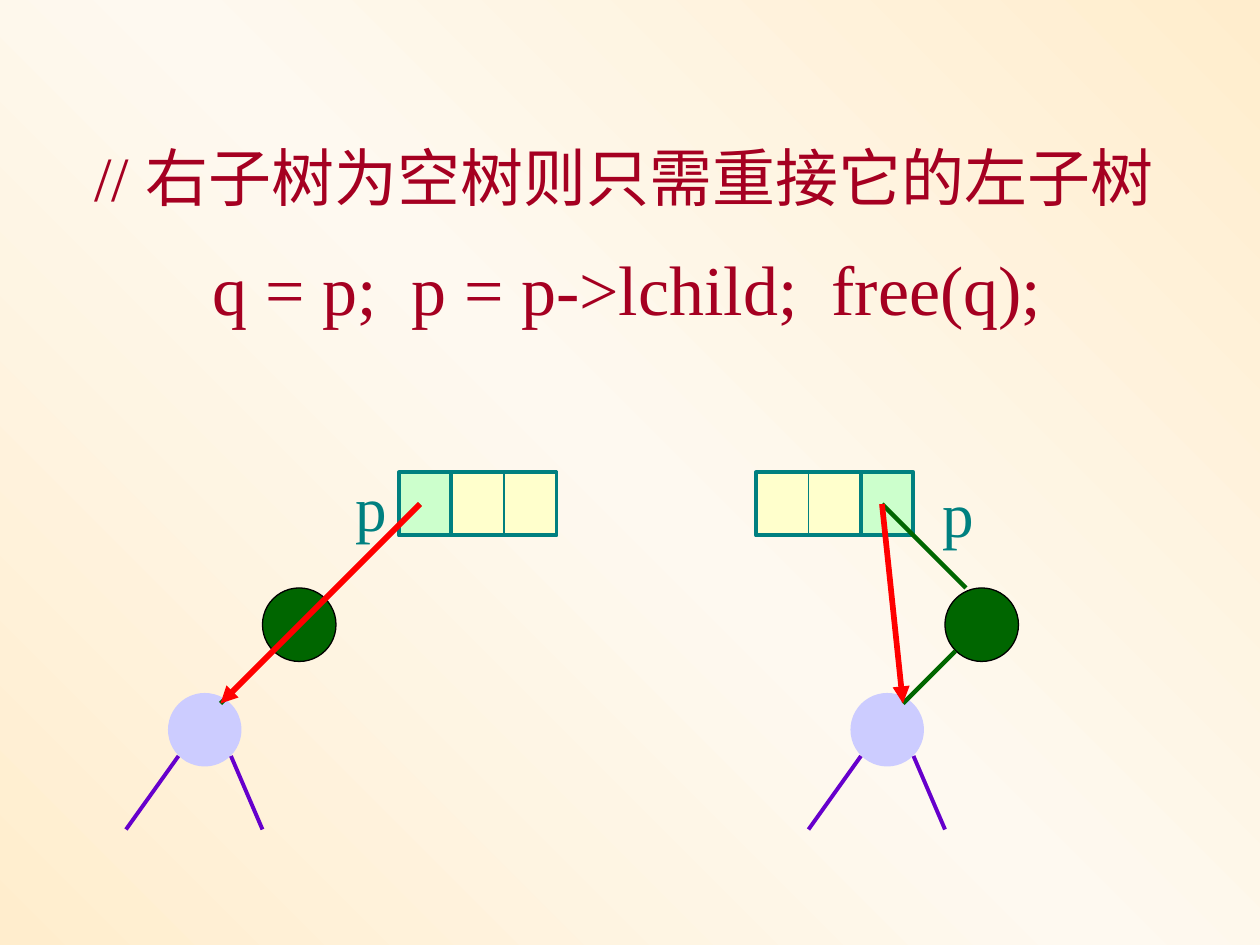
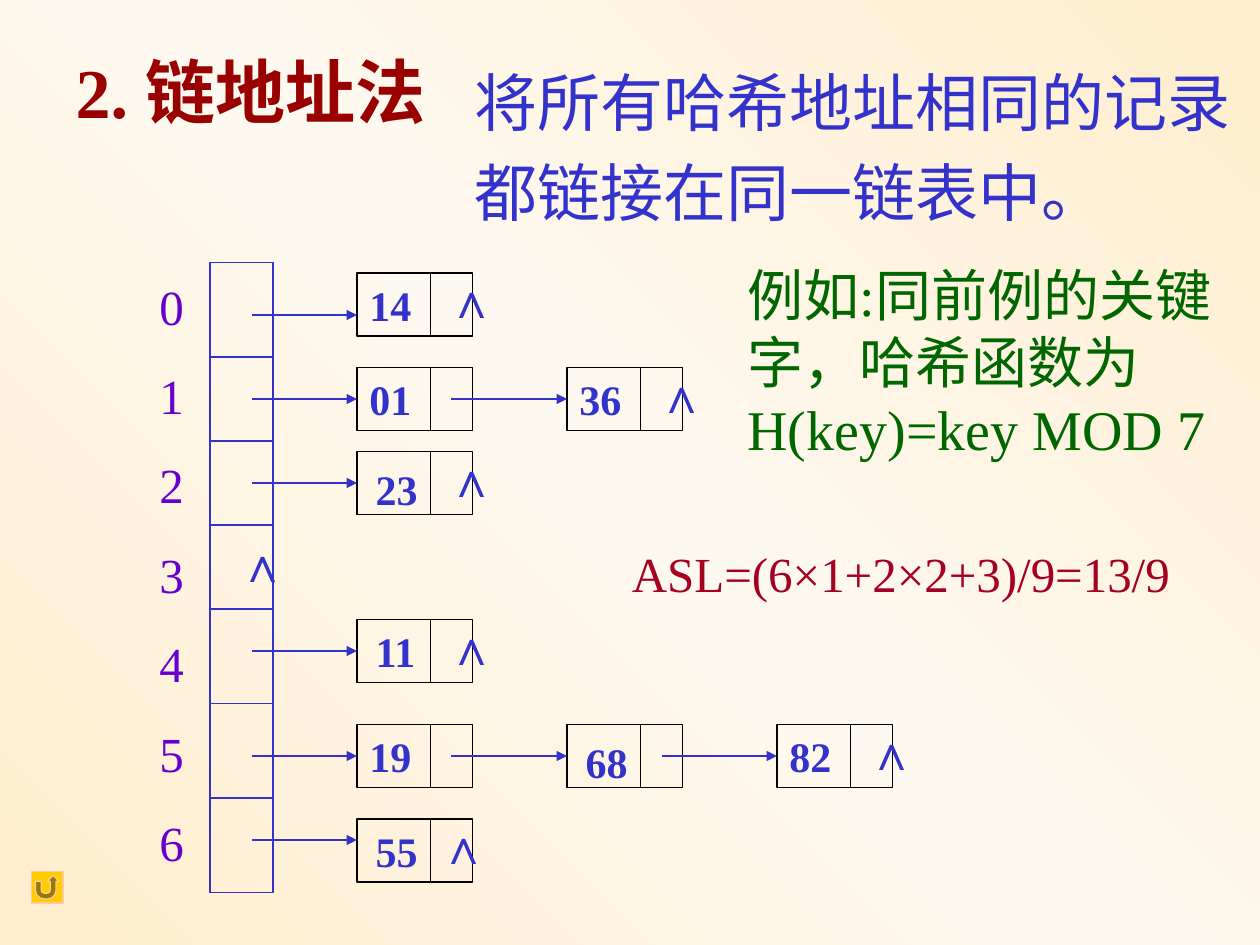
import dataclasses
import typing

import lxml.etree
import pptx
import pptx.dml.color
import pptx.enum.shapes
import pptx.enum.text
import pptx.oxml.ns
import pptx.slide
import pptx.text.text
import pptx.util


@dataclasses.dataclass(frozen=True)
class Theme:
    serif: str = "Times New Roman"
    sans: str = "Arial"
    edge: str = "FFEDCD"
    glow: str = "FEF9F0"
    crimson: str = "A50021"
    maroon: str = "990000"
    teal: str = "008080"
    mint: str = "CCFFCC"
    cream: str = "FFFFCC"
    green: str = "006600"
    lavender: str = "CCCCFF"
    purple: str = "6600CC"
    red: str = "FF0000"
    blue: str = "3333CC"
    black: str = "000000"
    gold: str = "FFCC00"
    peach: str = "FFCC99"
    heading: int = 40
    lead: int = 36
    example: int = 32
    label: int = 28
    key: int = 24
    hairline: float = 0.75
    arrow: float = 1.5
    outline: float = 2.25
    branch: float = 2.5
    relink: float = 3.25


class Area(typing.NamedTuple):
    left: float
    top: float
    width: float
    height: float


class Point(typing.NamedTuple):
    x: float
    y: float


@dataclasses.dataclass(frozen=True)
class Tree:
    slot: int
    fields: int
    shift: int
    parent: Point
    child: Point
    joint: Point
    label: Point


@dataclasses.dataclass(frozen=True)
class Node:
    key: str
    key_drop: float | None = None


@dataclasses.dataclass(frozen=True)
class Chain:
    top: int
    arrow: int
    nodes: tuple[Node, ...]
    nil_shift: float = 7.4


THEME = Theme()
GRID_CM = 2.54 / 12
SHAPES = pptx.enum.shapes.MSO_SHAPE
ANCHORS = pptx.enum.text.MSO_ANCHOR
FITS = pptx.enum.text.MSO_AUTO_SIZE

TREES = (
    Tree(38, 43, 0, Point(40, 48), Point(31, 57), Point(21, 67), Point(32.64, 44)),
    Tree(82, 72, 65, Point(84, 48), Point(92, 56), Point(86, 67), Point(88.56, 44.64)),
)
CHAINS = (
    Chain(26, 30, (Node("14"),)),
    Chain(35, 38, (Node("01"), Node("36"))),
    Chain(43, 46, (Node("23", 0.6),)),
    Chain(59, 62, (Node("11", 0),)),
    Chain(69, 72, (Node("19"), Node("68", 0.6), Node("82"))),
    Chain(78, 80, (Node("55", 0),), 6.7),
)


def grid(units: float) -> pptx.util.Length:
    return pptx.util.Cm(units * GRID_CM)


def rgb(color: str) -> pptx.dml.color.RGBColor:
    return pptx.dml.color.RGBColor.from_string(color)


def qn(name: str) -> str:
    return pptx.oxml.ns.qn(name)


def write(
    frame: pptx.text.text.TextFrame,
    text: str,
    *,
    size: int,
    color: str,
    font: str = THEME.serif,
    bold: bool = False,
    wrap: bool = False,
    spacing: float = 1.0,
    before: float = 0,
    anchor: ANCHORS = ANCHORS.TOP,
    fit: FITS = FITS.SHAPE_TO_FIT_TEXT,
    tabs: tuple[float, ...] = (),
) -> None:
    frame.word_wrap = wrap
    frame.auto_size = fit
    frame.vertical_anchor = anchor
    for index, line in enumerate(text.split("\n")):
        para = frame.paragraphs[0] if index == 0 else frame.add_paragraph()
        para.alignment = pptx.enum.text.PP_ALIGN.LEFT
        para.line_spacing = spacing
        para.space_before = pptx.util.Pt(before)
        if tabs:
            stops = lxml.etree.SubElement(para._p.get_or_add_pPr(), qn("a:tabLst"))
            for stop in tabs:
                lxml.etree.SubElement(
                    stops, qn("a:tab"), pos=str(int(grid(stop))), algn="l"
                )
        span = para.add_run()
        span.text = line
        span.font.name = font
        span.font.size = pptx.util.Pt(size)
        span.font.bold = bold
        span.font.color.rgb = rgb(color)


def add_text(page: pptx.slide.Slide, area: Area, text: str, **style: typing.Any) -> None:
    box = page.shapes.add_textbox(*map(grid, area))
    write(box.text_frame, text, **style)


def set_title(page: pptx.slide.Slide, area: Area, text: str, **style: typing.Any) -> None:
    title = page.shapes.title
    title.left, title.top, title.width, title.height = map(grid, area)
    write(title.text_frame, text, **style)


def add_shape(
    page: pptx.slide.Slide,
    kind: SHAPES,
    area: Area,
    *,
    fill: str | None = None,
    line: str | None = None,
    weight: float = THEME.hairline,
) -> typing.Any:
    shape = page.shapes.add_shape(kind, *map(grid, area))
    shape.shadow.inherit = False
    if fill:
        shape.fill.solid()
        shape.fill.fore_color.rgb = rgb(fill)
    else:
        shape.fill.background()
    if line:
        shape.line.color.rgb = rgb(line)
        shape.line.width = pptx.util.Pt(weight)
    else:
        shape.line.fill.background()
    return shape


def add_line(
    page: pptx.slide.Slide,
    start: Point,
    end: Point,
    color: str,
    weight: float = THEME.hairline,
    arrow: bool = False,
) -> None:
    line = page.shapes.add_connector(
        pptx.enum.shapes.MSO_CONNECTOR.STRAIGHT, *map(grid, (*start, *end))
    )
    line.line.color.rgb = rgb(color)
    line.line.width = pptx.util.Pt(weight)
    if arrow:
        lxml.etree.SubElement(line.line._get_or_add_ln(), qn("a:tailEnd"), type="triangle")
    lxml.etree.SubElement(line._element.spPr, qn("a:effectLst"))


def paint_background(deck: typing.Any) -> None:
    fill = deck.slide_master.background.fill
    fill.gradient()
    fill.gradient_angle = 225
    stops = deck.slide_master.element.find(".//" + qn("p:bgPr")).find(".//" + qn("a:gsLst"))
    for stop in list(stops):
        stops.remove(stop)
    for percent, color in ((0, THEME.edge), (50, THEME.glow), (100, THEME.edge)):
        stop = lxml.etree.SubElement(stops, qn("a:gs"), pos=str(percent * 1000))
        lxml.etree.SubElement(stop, qn("a:srgbClr"), val=color)


def draw_tree(page: pptx.slide.Slide, tree: Tree) -> None:
    for left, width, fill in ((tree.slot, 5, THEME.mint), (tree.fields, 10, THEME.cream)):
        add_shape(
            page, SHAPES.RECTANGLE, Area(left, 45, width, 6),
            fill=fill, line=THEME.teal, weight=THEME.outline,
        )
    middle = tree.fields + 5
    add_line(page, Point(middle, 45), Point(middle, 51), THEME.teal)
    shift = tree.shift
    add_shape(
        page, SHAPES.OVAL, Area(25 + shift, 56, 7, 7), fill=THEME.green, line=THEME.black
    )
    add_shape(page, SHAPES.OVAL, Area(16 + shift, 66, 7, 7), fill=THEME.lavender)
    for top, foot in ((17, 12), (22, 25)):
        add_line(
            page, Point(top + shift, 72), Point(foot + shift, 79),
            THEME.purple, THEME.outline,
        )
    add_line(page, Point(26 + shift, 62), tree.joint, THEME.green, THEME.branch)
    add_line(page, tree.parent, tree.child, THEME.green, THEME.branch)
    add_line(page, tree.parent, tree.joint, THEME.red, THEME.relink, arrow=True)
    add_text(page, Area(*tree.label, 5.4, 8.4), "p", size=THEME.lead, color=THEME.teal)


def draw_nil(page: pptx.slide.Slide, left: float, top: float) -> None:
    add_text(
        page, Area(left, top, 4, 6.84), "∧",
        size=THEME.label, color=THEME.blue, font=THEME.sans, bold=True,
    )


def draw_chain(page: pptx.slide.Slide, chain: Chain) -> None:
    style = {"size": THEME.key, "color": THEME.blue, "bold": True}
    for index, node in enumerate(chain.nodes):
        left = 34 + 20 * index
        cell = add_shape(
            page, SHAPES.RECTANGLE, Area(left, chain.top, 11, 6), line=THEME.black
        )
        add_line(
            page, Point(left + 7, chain.top), Point(left + 7, chain.top + 6), THEME.black
        )
        if node.key_drop is None:
            write(
                cell.text_frame, node.key, wrap=True,
                anchor=ANCHORS.MIDDLE, fit=FITS.NONE, **style,
            )
        else:
            area = Area(left + 0.6, chain.top + node.key_drop, 6.4, 6)
            add_text(page, area, node.key, **style)
        start = left - 11 if index else 24
        add_line(
            page, Point(start, chain.arrow), Point(left, chain.arrow),
            THEME.blue, THEME.arrow, arrow=True,
        )
    draw_nil(page, left + chain.nil_shift, chain.top - 0.9)


def build_delete_page(page: pptx.slide.Slide) -> None:
    set_title(
        page, Area(7.8, 9, 104.8, 12), "// 右子树为空树则只需重接它的左子树",
        size=THEME.lead, color=THEME.crimson, spacing=1.5,
    )
    add_text(
        page, Area(19.1, 22.8, 81.4, 9.2), "q = p;\tp = p->lchild;\tfree(q);",
        size=THEME.heading, color=THEME.crimson, wrap=True, tabs=(18.96, 58.92),
    )
    for tree in TREES:
        draw_tree(page, tree)


def build_chaining_page(page: pptx.slide.Slide) -> None:
    set_title(
        page, Area(6, 4, 37, 17.3), "2. 链地址法",
        size=THEME.heading, color=THEME.maroon, bold=True, wrap=True,
    )
    add_text(
        page, Area(44, 4, 77, 29), "将所有哈希地址相同的记录\n都链接在同一链表中。",
        size=THEME.lead, color=THEME.blue, wrap=True, spacing=1.2,
    )
    add_shape(page, SHAPES.RECTANGLE, Area(20, 25, 6, 60), line=THEME.blue)
    for height in (34, 42, 50, 58, 67, 76):
        add_line(page, Point(20, height), Point(26, height), THEME.blue)
    add_text(
        page, Area(14, 25.7, 7, 58), "\n".join(map(str, range(7))),
        size=THEME.label, color=THEME.purple, wrap=True, before=17.5,
    )
    for chain in CHAINS:
        draw_chain(page, chain)
    draw_nil(page, 21.5, 50.2)
    add_shape(
        page, SHAPES.ACTION_BUTTON_RETURN, Area(3, 83, 3, 3),
        fill=THEME.gold, line=THEME.peach,
    )
    add_text(
        page, Area(59, 51.2, 53.6, 6.84), "ASL=(6×1+2×2+3)/9=13/9",
        size=THEME.label, color=THEME.crimson,
    )
    add_text(
        page, Area(70, 24.2, 50, 20.4), "例如:同前例的关键字，哈希函数为 H(key)=key MOD 7",
        size=THEME.example, color=THEME.green, wrap=True,
    )


def main() -> None:
    deck = pptx.Presentation()
    deck.slide_width, deck.slide_height = grid(120), grid(90)
    paint_background(deck)
    for build in (build_delete_page, build_chaining_page):
        build(deck.slides.add_slide(deck.slide_layouts[5]))
    deck.save("out.pptx")


main()
